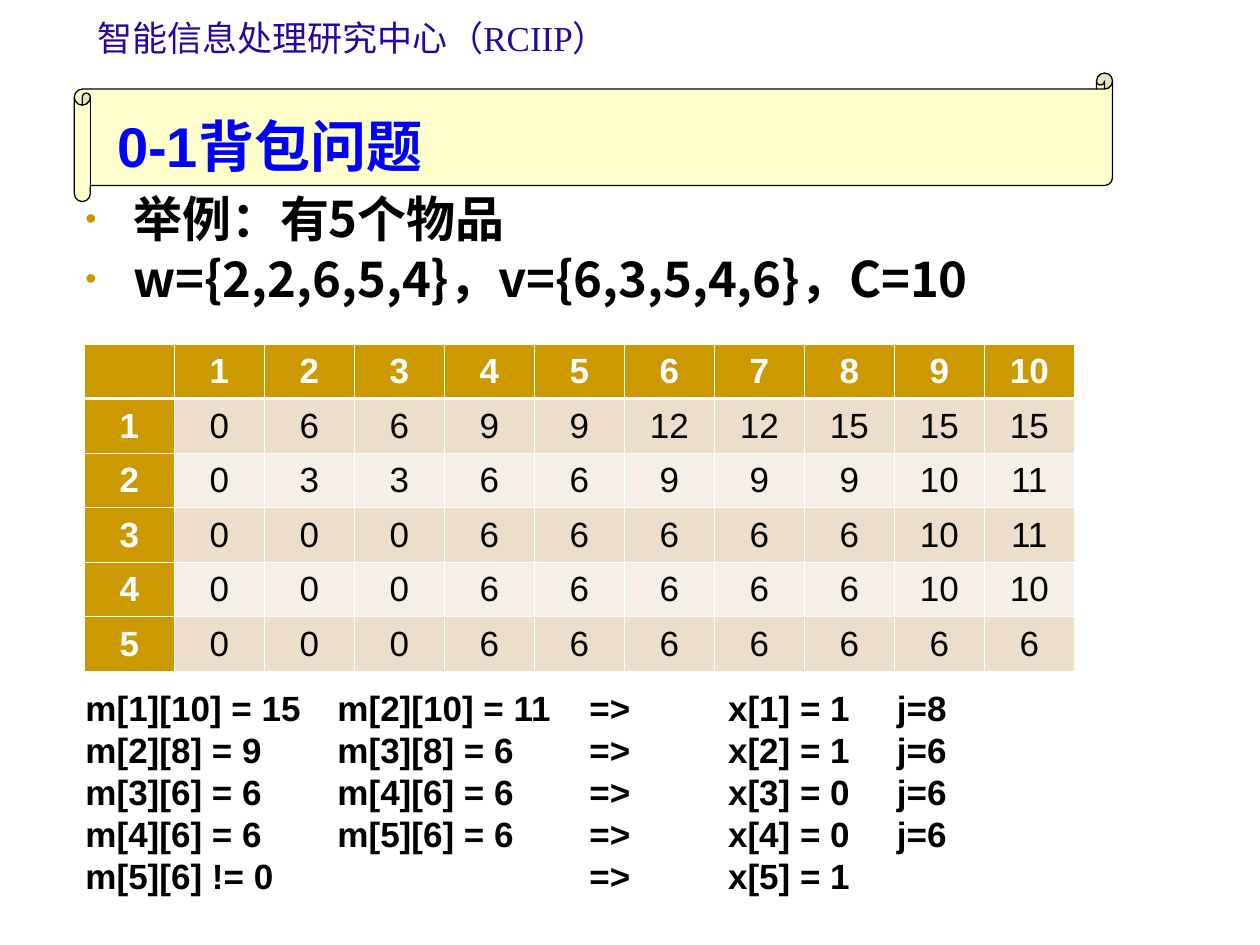
from lxml import etree
from pptx import Presentation
from pptx.dml.color import RGBColor
from pptx.enum.shapes import MSO_SHAPE
from pptx.enum.text import MSO_ANCHOR, MSO_AUTO_SIZE, PP_ALIGN
from pptx.oxml.ns import qn
from pptx.util import Inches, Pt

SCROLL = MSO_SHAPE.HORIZONTAL_SCROLL
LEFT, CENTER, JUSTIFY = PP_ALIGN.LEFT, PP_ALIGN.CENTER, PP_ALIGN.JUSTIFY
TOP, MIDDLE, BOTTOM = MSO_ANCHOR.TOP, MSO_ANCHOR.MIDDLE, MSO_ANCHOR.BOTTOM
NO_FIT = MSO_AUTO_SIZE.NONE

SANS, SERIF, CJK = "Arial", "Times New Roman", "Noto Sans CJK SC"
GOLD, WHITE, BLACK = "CC9900", "FFFFFF", "000000"
BANDS = ("ECDECB", "F6EFE7")

CENTRE_NAME = (("智能信息处理研究中心", SANS), ("（RCIIP）", SERIF))
TITLE = "0-1背包问题"
EXAMPLE = ("举例：有5个物品", "w={2,2,6,5,4}，v={6,3,5,4,6}，C=10")
VALUES = (
    (0, 6, 6, 9, 9, 12, 12, 15, 15, 15),
    (0, 3, 3, 6, 6, 9, 9, 9, 10, 11),
    (0, 0, 0, 6, 6, 6, 6, 6, 10, 11),
    (0, 0, 0, 6, 6, 6, 6, 6, 10, 10),
    (0, 0, 0, 6, 6, 6, 6, 6, 6, 6),
)
TRACE = (
    ("m[1][10] = 15", "m[2][10] = 11", "=>", "x[1] = 1", "j=8"),
    ("m[2][8] = 9", "m[3][8] = 6", "=>", "x[2] = 1", "j=6"),
    ("m[3][6] = 6", "m[4][6] = 6", "=>", "x[3] = 0", "j=6"),
    ("m[4][6] = 6", "m[5][6] = 6", "=>", "x[4] = 0", "j=6"),
    ("m[5][6] != 0", "", "=>", "x[5] = 1"),
)
TRACE_TABS = (2, 4, 5.1, 6.44)


def rgb(value):
    return RGBColor.from_string(value)


def box(left, top, width, height):
    return [Inches(length) for length in (left, top, width, height)]


def add(parent, tag, **attributes):
    return etree.SubElement(parent, qn(tag), attributes)


def set_font(font, size, color, name=SANS, bold=False):
    font.size, font.bold, font.name = Pt(size), bold, name
    font.color.rgb = rgb(color)


def set_frame(frame, anchor, wrap=True):
    frame.auto_size = NO_FIT
    frame.word_wrap = wrap
    frame.vertical_anchor = anchor


def add_lines(frame, lines):
    frame.text = "\n".join(lines)
    return frame.paragraphs


def add_bullet(paragraph):
    properties = paragraph._p.get_or_add_pPr()
    properties.set("marL", str(Inches(0.38)))
    properties.set("indent", str(-Inches(0.38)))
    add(add(properties, "a:buClr"), "a:srgbClr", val=GOLD)
    add(properties, "a:buSzPct", val="65000")
    add(properties, "a:buFont", typeface=SANS)
    add(properties, "a:buChar", char="•")


def add_tabs(paragraph, positions):
    tabs = add(paragraph._p.get_or_add_pPr(), "a:tabLst")
    for position in positions:
        add(tabs, "a:tab", pos=str(Inches(position)), algn="l")


def add_borders(cell, widths):
    properties = cell._tc.get_or_add_tcPr()
    for side, width in zip("LRTB", widths):
        line = add(properties, f"a:ln{side}", w=str(Pt(width)))
        add(add(line, "a:solidFill"), "a:srgbClr", val=WHITE)


def add_header(slide):
    frame = slide.shapes.add_textbox(*box(0.75, 0, 4.1, 0.6)).text_frame
    set_frame(frame, MIDDLE, wrap=False)
    paragraph = frame.paragraphs[0]
    paragraph.alignment = CENTER
    for text, name in CENTRE_NAME:
        run = paragraph.add_run()
        run.text = text
        set_font(run.font, 20, "2605A1", name)


def add_title(slide):
    title = slide.shapes.title
    title.left, title.top, title.width, title.height = box(0.83, 0.6, 8.03, 0.87)
    set_frame(title.text_frame, BOTTOM)
    paragraph = add_lines(title.text_frame, [TITLE])[0]
    paragraph.alignment = LEFT
    set_font(paragraph.font, 32, "0000FF", bold=True)

    banner = slide.shapes.add_shape(SCROLL, *box(0.59, 0.58, 8.24, 1.02))
    banner.shadow.inherit = False
    banner.adjustments[0] = 0.125
    banner.fill.solid()
    banner.fill.fore_color.rgb = rgb("FFFF99")
    fill_color = banner._element.spPr.find(qn("a:solidFill"))[0]
    add(fill_color, "a:alpha", val="50000")
    banner.line.color.rgb = rgb(BLACK)
    banner.line.width = Pt(0.75)
    title._element.addprevious(banner._element)


def add_example(slide):
    frame = slide.shapes.add_textbox(*box(0.58, 1.5, 8.5, 1.86)).text_frame
    set_frame(frame, TOP)
    for index, paragraph in enumerate(add_lines(frame, EXAMPLE)):
        add_bullet(paragraph)
        paragraph.alignment = JUSTIFY
        paragraph.line_spacing = 0.9
        if index:
            paragraph.space_before = Pt(4)
        set_font(paragraph.font, 28, BLACK, CJK, bold=True)


def add_trace(slide):
    frame = slide.shapes.add_textbox(*box(0.58, 5.4, 8.28, 1.77)).text_frame
    set_frame(frame, TOP)
    for paragraph in add_lines(frame, ["\t".join(step) for step in TRACE]):
        add_tabs(paragraph, TRACE_TABS)
        paragraph.line_spacing = Pt(24)
        set_font(paragraph.font, 20, BLACK, bold=True)


def add_value_table(slide):
    capacities = range(1, len(VALUES[0]) + 1)
    rows = [("", *capacities)]
    rows += [(item, *values) for item, values in enumerate(VALUES, 1)]
    place = box(0.67, 2.73, 7.86, 2.6)
    table = slide.shapes.add_table(len(rows), len(rows[0]), *place).table
    for row_index, row in enumerate(rows):
        for column_index, value in enumerate(row):
            cell = table.cell(row_index, column_index)
            heading = row_index == 0 or column_index == 0
            top = 1.47 if row_index == 1 else 0.45
            bottom = 1.47 if row_index == 0 else 0.45
            add_borders(cell, (0.45, 0.45, top, bottom))
            cell.fill.solid()
            cell.fill.fore_color.rgb = rgb(GOLD if heading else BANDS[(row_index - 1) % 2])
            cell.vertical_anchor = MIDDLE
            paragraph = add_lines(cell.text_frame, [str(value)])[0]
            paragraph.alignment = CENTER
            set_font(paragraph.font, 20, WHITE if heading else BLACK, bold=heading)


def main():
    presentation = Presentation()
    presentation.slide_width, presentation.slide_height = Inches(10), Inches(7.5)
    slide = presentation.slides.add_slide(presentation.slide_layouts[5])
    add_header(slide)
    add_title(slide)
    add_example(slide)
    add_trace(slide)
    add_value_table(slide)
    presentation.save("out.pptx")


if __name__ == "__main__":
    main()
